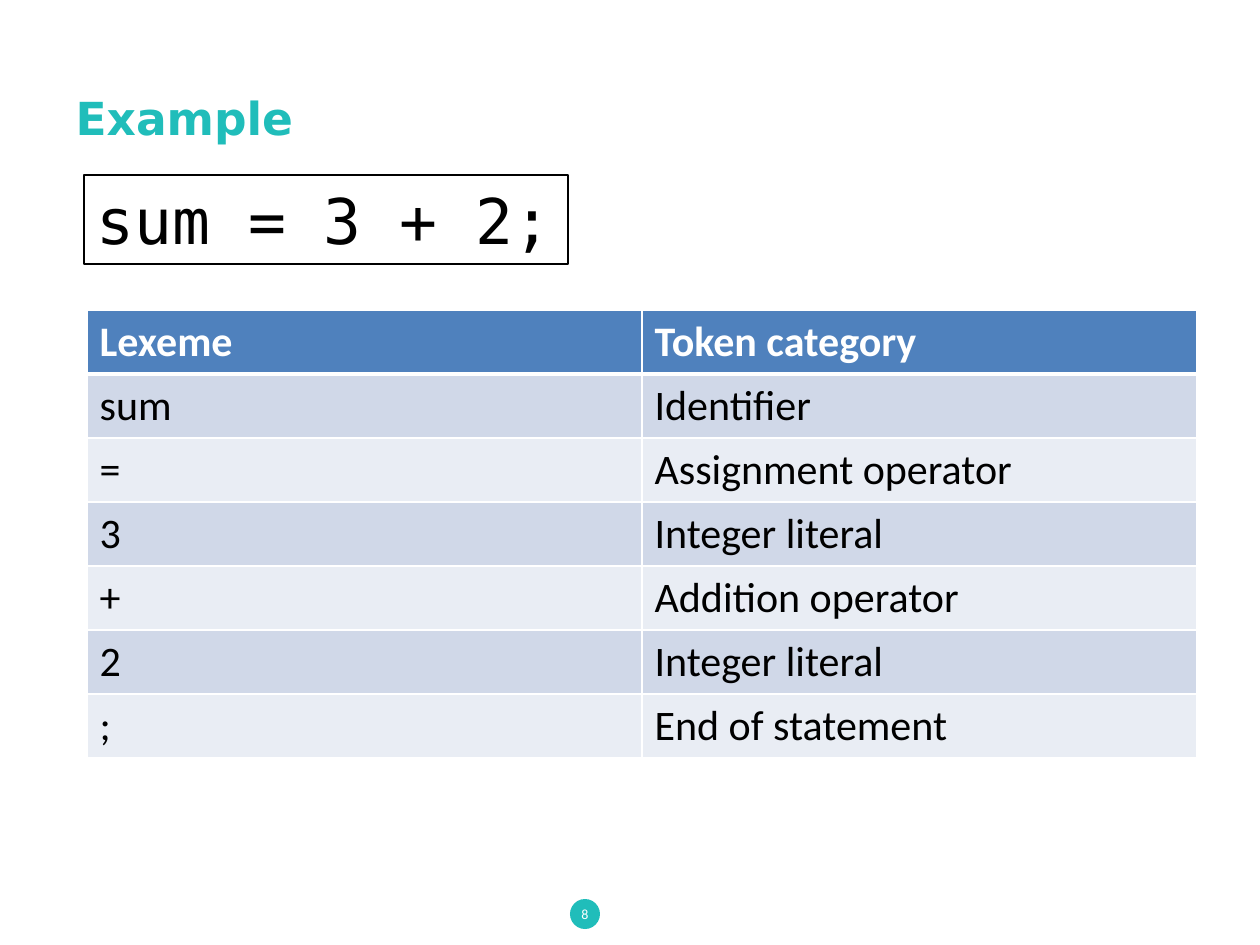
"""Builds a slide that splits a statement into lexemes and token categories."""
from lxml.etree import SubElement
from pptx import Presentation
from pptx.dml.color import RGBColor
from pptx.enum.shapes import MSO_SHAPE as Shape
from pptx.enum.text import MSO_ANCHOR as Anchor, MSO_AUTO_SIZE as AutoSize, PP_ALIGN as Align
from pptx.oxml.ns import qn
from pptx.util import Emu, Pt

TITLE = "Example"
STATEMENT = "sum = 3 + 2;"
NUMBER = "8"
TOKENS = [
    ("Lexeme", "Token category"),
    ("sum", "Identifier"),
    ("=", "Assignment operator"),
    ("3", "Integer literal"),
    ("+", "Addition operator"),
    ("2", "Integer literal"),
    (";", "End of statement"),
]
TEAL, WHITE, BLACK, BLUE = "20BDBA", "FFFFFF", "000000", "4F81BD"
BANDS = ["E9EDF4", "D0D8E8"]

SLIDE_SIZE = (1260, 945)
TITLE_BOX = (63, 38, 1134, 158)
STATEMENT_BOX = (84, 175, 484, 89)
BADGE_BOX = (570, 899, 30, 30)
NUMBER_BOX = (441, 889, 288, 50)
TABLE_LEFT, TABLE_TOP, COLUMN_WIDTH, ROW_HEIGHT = 87, 310, 555, 64

TITLE_FONT = {"name": "DejaVu Sans", "size": Pt(26), "bold": True}
STATEMENT_FONT = {"name": "DejaVu Sans Mono", "size": Pt(36), "bold": False}
NUMBER_FONT = {"name": "Calibri", "size": Pt(8), "bold": False}
HEADER_FONT = {"name": "Calibri", "size": Pt(24), "bold": True}
CELL_FONT = {**HEADER_FONT, "bold": False}


def px(*lengths):
    return [Emu(round(length * 914400 / 126)) for length in lengths]


def paint(color_format, color):
    color_format.rgb = RGBColor.from_string(color)


def fill(target, color):
    target.fill.solid()
    paint(target.fill.fore_color, color)


def write(frame, text, font_values, color, align=Align.LEFT):
    frame.text = text
    paragraph = frame.paragraphs[0]
    paragraph.alignment = align
    font = paragraph.runs[0].font
    for name, value in font_values.items():
        setattr(font, name, value)
    paint(font.color, color)


def add_borders(cell, widths):
    properties = cell._tc.get_or_add_tcPr()
    for side, width in widths.items():
        line = SubElement(properties, qn(f"a:ln{side}"), w=str(Pt(width)))
        SubElement(SubElement(line, qn("a:solidFill")), qn("a:srgbClr"), val=WHITE)


def add_badge(slide):
    badge = slide.shapes.add_shape(Shape.OVAL, *px(*BADGE_BOX))
    badge.shadow.inherit = False
    fill(badge, TEAL)
    badge.line.fill.background()
    frame = slide.shapes.add_textbox(*px(*NUMBER_BOX)).text_frame
    frame.word_wrap = True
    frame.vertical_anchor = Anchor.MIDDLE
    write(frame, NUMBER, NUMBER_FONT, WHITE, Align.CENTER)


def add_token_table(slide):
    rows, columns = len(TOKENS), len(TOKENS[0])
    box = px(TABLE_LEFT, TABLE_TOP, COLUMN_WIDTH * columns, ROW_HEIGHT * rows)
    table = slide.shapes.add_table(rows, columns, *box).table
    for row, texts in enumerate(TOKENS):
        header = row == 0
        for column, text in enumerate(texts):
            cell = table.cell(row, column)
            add_borders(cell, {"L": 1, "R": 1, "T": 3 if row == 1 else 1, "B": 3 if header else 1})
            fill(cell, BLUE if header else BANDS[row % 2])
            write(cell.text_frame, text, HEADER_FONT if header else CELL_FONT,
                  WHITE if header else BLACK)


def add_title(slide):
    title = slide.shapes.title
    title.left, title.top, title.width, title.height = px(*TITLE_BOX)
    title.text_frame.vertical_anchor = Anchor.MIDDLE
    write(title.text_frame, TITLE, TITLE_FONT, TEAL)


def add_statement(slide):
    box = slide.shapes.add_textbox(*px(*STATEMENT_BOX))
    paint(box.line.color, BLACK)
    box.line.width = Pt(0.75)
    box.text_frame.word_wrap = False
    box.text_frame.auto_size = AutoSize.SHAPE_TO_FIT_TEXT
    write(box.text_frame, STATEMENT, STATEMENT_FONT, BLACK)


def main():
    presentation = Presentation()
    presentation.slide_width, presentation.slide_height = px(*SLIDE_SIZE)
    slide = presentation.slides.add_slide(presentation.slide_layouts[5])
    for add_part in (add_badge, add_token_table, add_title, add_statement):
        add_part(slide)
    presentation.save("out.pptx")


if __name__ == "__main__":
    main()
